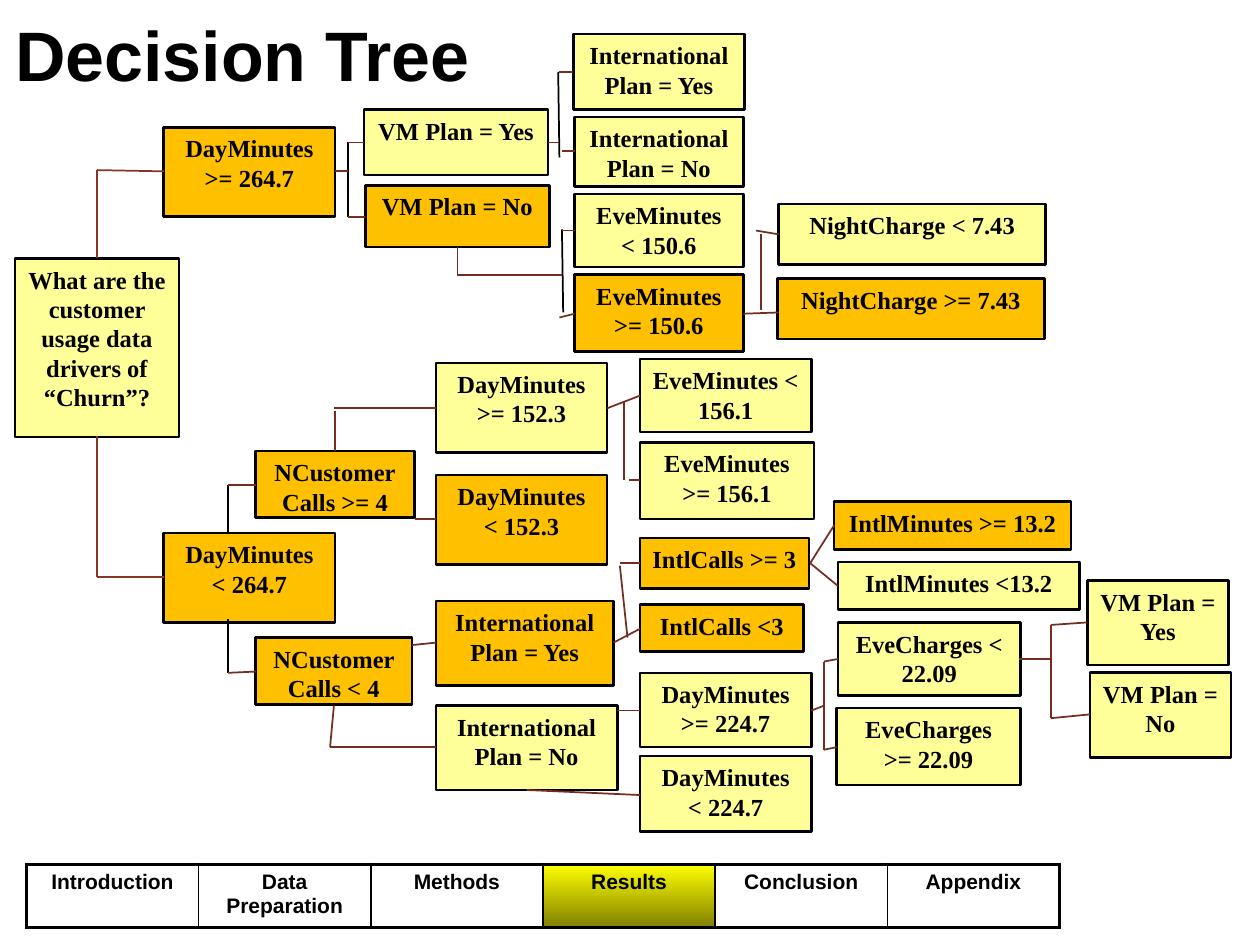
"""Build the decision tree slide with its section bar."""
import itertools
import pptx
import pptx.util
import pptx.dml.color
import pptx.enum.shapes
import pptx.enum.text
import pptx.oxml
import lxml.etree

Inches, Pt = pptx.util.Inches, pptx.util.Pt


def hue(code):
    return pptx.dml.color.RGBColor.from_string(code)


def write(frame, text, look, align):
    frame.text = text
    para = frame.paragraphs[0]
    para.alignment = align
    for key, value in look.items():
        setattr(para.runs[0].font, key, value)
    para.runs[0].font.color.rgb = hue("000000")


deck = pptx.Presentation()
deck.slide_width, deck.slide_height = Inches(10), Inches(7.5)
slide = deck.slides.add_slide(deck.slide_layouts[5])
left = pptx.enum.text.PP_ALIGN.LEFT
mid = pptx.enum.text.PP_ALIGN.CENTER
top = pptx.enum.text.MSO_ANCHOR.TOP
looks = {
    "title": {"name": "Arial", "size": Pt(40), "bold": True},
    "node": {"name": "Times New Roman", "size": Pt(14), "bold": True},
    "bar": {"name": "Arial", "size": Pt(12), "bold": True},
}

title = slide.shapes.title
place = {"left": Inches(0.02), "top": Inches(-0.02),
         "width": Inches(8.48), "height": Inches(1.15)}
for key, value in place.items():
    setattr(title, key, value)
title.text_frame.vertical_anchor = top
title.text_frame.margin_top = Inches(0.11)
write(title.text_frame, "Decision Tree", looks["title"], left)

pale, gold = "FFFF99", "FFC000"
nodes = [
    ("What are the customer usage data drivers of “Churn”?", 0.12, 2.05, 1.3, 1.42, pale),
    ("DayMinutes < 264.7", 1.3, 4.23, 1.36, 0.71, gold),
    ("DayMinutes >= 264.7", 1.3, 1.01, 1.36, 0.71, gold),
    ("VM Plan = Yes", 2.89, 0.87, 1.46, 0.52, pale),
    ("VM Plan = No", 2.9, 1.47, 1.46, 0.49, gold),
    ("EveMinutes < 150.6", 4.56, 1.54, 1.34, 0.58, pale),
    ("International Plan = Yes", 4.55, 0.27, 1.36, 0.6, pale),
    ("NCustomerCalls >= 4", 2.03, 3.58, 1.26, 0.53, gold),
    ("NCustomer Calls < 4", 2.03, 5.06, 1.24, 0.53, gold),
    ("EveMinutes >= 150.6", 4.56, 2.18, 1.34, 0.61, gold),
    ("NightCharge < 7.43", 6.18, 1.62, 2.12, 0.48, pale),
    ("International Plan = Yes", 3.46, 4.77, 1.41, 0.67, gold),
    ("International Plan = No", 3.46, 5.6, 1.44, 0.67, pale),
    ("DayMinutes < 224.7", 5.08, 6, 1.36, 0.6, pale),
    ("DayMinutes >= 224.7", 5.08, 5.34, 1.36, 0.59, pale),
    ("EveCharges < 22.09", 6.65, 4.94, 1.45, 0.58, pale),
    ("EveCharges >= 22.09", 6.64, 5.62, 1.46, 0.61, pale),
    ("VM Plan = Yes", 8.63, 4.61, 1.12, 0.67, pale),
    ("VM Plan = No", 8.65, 5.34, 1.12, 0.67, pale),
    ("IntlCalls <3", 5.08, 4.8, 1.3, 0.37, gold),
    ("IntlCalls >= 3", 5.08, 4.27, 1.34, 0.4, gold),
    ("IntlMinutes <13.2", 6.65, 4.46, 1.92, 0.38, pale),
    ("IntlMinutes >= 13.2", 6.62, 3.98, 1.88, 0.38, gold),
    ("DayMinutes < 152.3", 3.46, 3.77, 1.36, 0.71, gold),
    ("DayMinutes >= 152.3", 3.46, 2.88, 1.36, 0.71, pale),
    ("EveMinutes < 156.1", 5.08, 2.85, 1.36, 0.58, pale),
    ("EveMinutes >= 156.1", 5.08, 3.51, 1.38, 0.61, pale),
    ("International Plan = No", 4.56, 0.93, 1.34, 0.55, pale),
    ("NightCharge >= 7.43", 6.17, 2.21, 2.12, 0.48, gold),
]
for text, *spot, fill in nodes:
    node = slide.shapes.add_shape(pptx.enum.shapes.MSO_SHAPE.RECTANGLE, *map(Inches, spot))
    node.shadow.inherit = False
    node.fill.solid()
    node.fill.fore_color.rgb = hue(fill)
    node.line.color.rgb = hue("000000")
    node.line.width = Pt(1.5)
    node.text_frame.word_wrap = True
    node.text_frame.vertical_anchor = top
    write(node.text_frame, text, looks["node"], mid)

paths = {
    "873624": [
        [(0.77, 2.05), (0.77, 1.35), (1.3, 1.36)],
        [(0.77, 3.46), (0.77, 4.58), (1.3, 4.58)],
    ],
    "000000": [
        [(2.76, 1.72), (2.76, 1.13)],
        [(1.81, 4.23), (1.81, 3.85)],
        [(1.81, 5.34), (1.81, 4.91)],
        [(4.43, 0.57), (4.44, 1.25)],
        [(4.46, 1.82), (4.47, 2.48)],
    ],
    "742E1F": [
        [(2.03, 3.85), (1.81, 3.85)],
        [(2.03, 5.33), (1.81, 5.34)],
        [(2.9, 1.72), (2.76, 1.72)],
        [(2.89, 1.13), (2.76, 1.13)],
        [(2.66, 1.36), (2.76, 1.36)],
        [(4.44, 0.57), (4.55, 0.57)],
        [(4.56, 1.2), (4.46, 1.2)],
        [(4.56, 1.83), (4.46, 1.83)],
        [(4.56, 2.49), (4.44, 2.52)],
        [(3.63, 1.96), (3.63, 2.18), (4.46, 2.18)],
        [(5.9, 2.49), (6.18, 2.48)],
        [(6.18, 1.86), (6, 1.83)],
        [(6.04, 2.46), (6.04, 1.86)],
        [(4.35, 1.13), (4.44, 1.13)],
        [(2.65, 3.24), (3.46, 3.24)],
        [(3.46, 4.12), (3.29, 4.12)],
        [(2.66, 3.58), (2.66, 3.26)],
        [(3.46, 5.1), (3.27, 5.12)],
        [(3.46, 5.93), (2.62, 5.93), (2.65, 5.6)],
        [(4.82, 3.24), (5.08, 3.14)],
        [(5.08, 3.81), (4.99, 3.81)],
        [(4.95, 3.81), (4.95, 3.19)],
        [(5.08, 5.64), (4.9, 5.64)],
        [(5.08, 6.31), (4.18, 6.27)],
        [(6.44, 5.64), (6.54, 5.6)],
        [(6.65, 5.23), (6.54, 5.25), (6.54, 5.95), (6.64, 5.93)],
        [(8.09, 5.23), (8.34, 5.23)],
        [(8.63, 4.94), (8.34, 4.96), (8.34, 5.7), (8.65, 5.67)],
        [(4.87, 5.1), (5.08, 4.99)],
        [(5.08, 4.47), (4.92, 4.47)],
        [(4.92, 4.49), (4.98, 5.06)],
        [(6.62, 4.17), (6.43, 4.47), (6.65, 4.65)],
    ],
}
for code, group in paths.items():
    for path in group:
        for start, end in itertools.pairwise(path):
            link = slide.shapes.add_connector(
                pptx.enum.shapes.MSO_CONNECTOR.STRAIGHT, *map(Inches, start + end))
            link.line.color.rgb = hue(code)
            link.line.width = Pt(1)
            lxml.etree.SubElement(link._element.spPr, pptx.oxml.ns.qn("a:effectLst"))

steps = ["Introduction", "Data Preparation", "Methods", "Results", "Conclusion", "Appendix"]
last = len(steps) - 1
bar = slide.shapes.add_table(
    1, len(steps), Inches(0.21), Inches(6.86), Inches(8.2), Inches(0.5)).table
bar.first_row = bar.horz_banding = False
for index, step in enumerate(steps):
    cell = bar.cell(0, index)
    write(cell.text_frame, step, looks["bar"], mid)
    edges = {"lnL": 1 if index else 2.25, "lnR": 1 if index < last else 2.25,
             "lnT": 2.25, "lnB": 2.25}
    for tag, width in edges.items():
        edge = lxml.etree.SubElement(
            cell._tc.get_or_add_tcPr(), pptx.oxml.ns.qn("a:" + tag), w=str(Pt(width)))
        fill = lxml.etree.SubElement(edge, pptx.oxml.ns.qn("a:solidFill"))
        lxml.etree.SubElement(fill, pptx.oxml.ns.qn("a:srgbClr"), val="000000")
    if step == "Results":
        cell.fill.gradient()
        cell.fill.gradient_angle = 270
        for stop, code in zip(cell.fill.gradient_stops, ["FFFF00", "808000"]):
            stop.color.rgb = hue(code)
    else:
        cell.fill.background()

deck.save("out.pptx")
